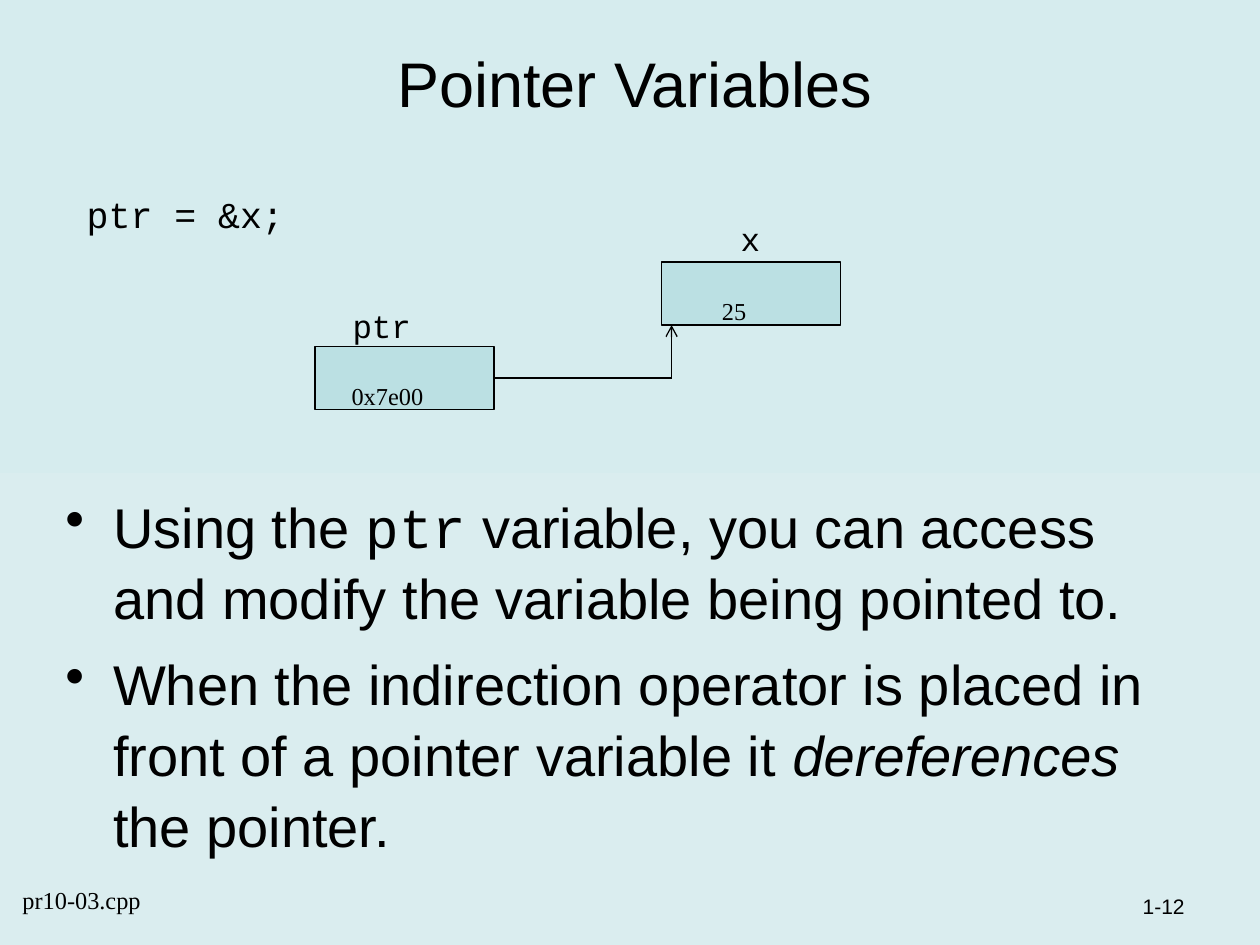
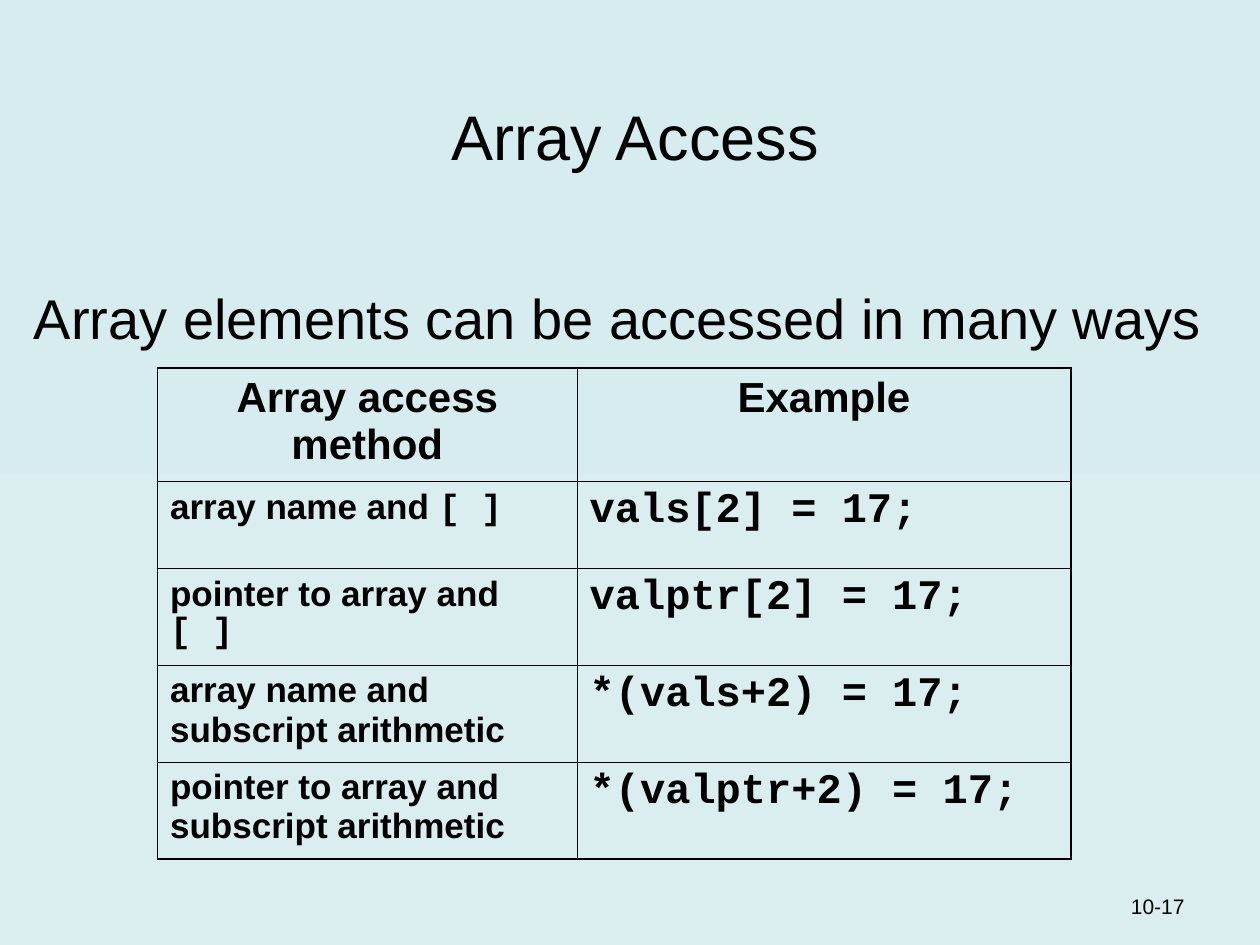
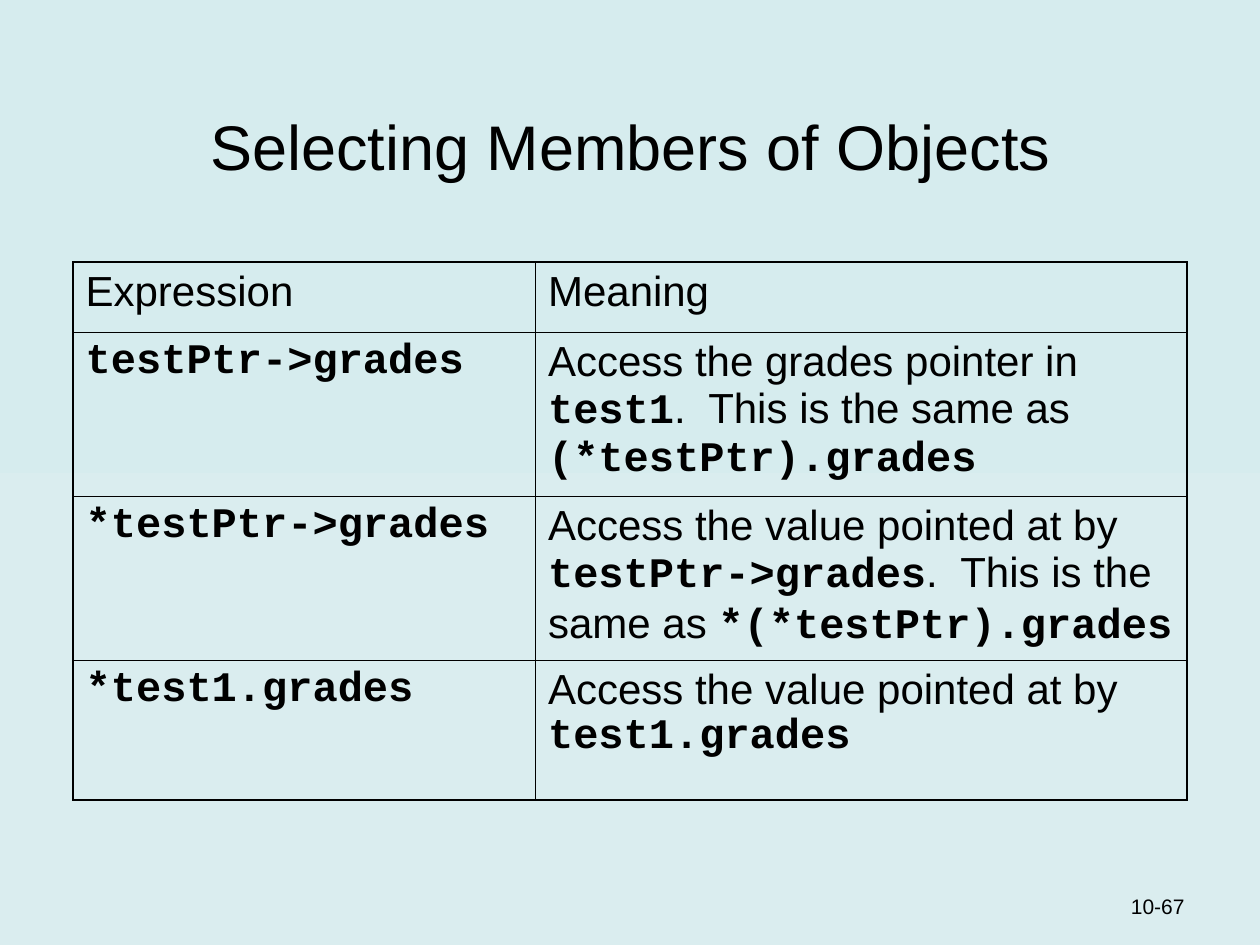
"""Build three slides on pointers, array access and object members."""
from dataclasses import dataclass, field

from lxml import etree
from pptx import Presentation
from pptx.dml.color import RGBColor
from pptx.enum.shapes import MSO_CONNECTOR, MSO_SHAPE
from pptx.enum.text import MSO_ANCHOR, PP_ALIGN
from pptx.oxml.ns import qn
from pptx.util import Inches, Pt

LEFT, CENTER, RIGHT = PP_ALIGN.LEFT, PP_ALIGN.CENTER, PP_ALIGN.RIGHT
TOP, BOTTOM = MSO_ANCHOR.TOP, MSO_ANCHOR.BOTTOM
RECTANGLE = MSO_SHAPE.RECTANGLE
STRAIGHT = MSO_CONNECTOR.STRAIGHT
SANS, MONO, SERIF = "Arial", "Courier New", "Times New Roman"


def text_format(name, size, **extra):
    """Return the font values for one text style."""
    return {"name": name, "size": Pt(size), "bold": False, "italic": False, **extra}


@dataclass
class Theme:
    """Colours, line widths and text styles of the deck."""
    ink: RGBColor = RGBColor(0, 0, 0)
    memory: RGBColor = RGBColor(0xBB, 0xE0, 0xE3)
    background: tuple = (RGBColor(0xDA, 0xED, 0xEF), RGBColor(0xD6, 0xEC, 0xEE))
    thin: float = 0.45
    outer: float = 1.08
    outline: float = 0.75
    subscript: str = "-25000"
    body_spacing: float = 1.06
    text: dict = field(default_factory=lambda: {
        "title": text_format(SANS, 36),
        "page": text_format(SANS, 12),
        "body": text_format(SANS, 32),
        "body code": text_format(MONO, 32),
        "term": text_format(SANS, 32, italic=True),
        "statement": text_format(MONO, 36),
        "variable": text_format(MONO, 32),
        "value": text_format(SERIF, 24),
        "heading": text_format(SANS, 24, bold=True),
        "method": text_format(SANS, 20, bold=True),
        "brackets": text_format(MONO, 20, bold=True),
        "code": text_format(MONO, 24, bold=True),
        "cell": text_format(SANS, 24),
    })


class SlideBuilder:
    """Hold the theme and current slide, and draw each kind of element."""

    def __init__(self, deck, theme):
        """Keep the deck and its theme."""
        self.deck, self.theme, self.slide = deck, theme, None

    def start(self, title, area, page):
        """Add a slide with its background, title and page number."""
        self.slide = self.deck.slides.add_slide(self.deck.slide_layouts[6])
        fill = self.slide.background.fill
        fill.gradient()
        fill.gradient_angle = 90
        for stop, color in zip(fill.gradient_stops, self.theme.background):
            stop.color.rgb = color
        self.text(area, [[(title, "title")]], align=CENTER, anchor=BOTTOM)
        self.text((7.42, 6.84, 2.08, 0.5), [[(page, "page")]], align=RIGHT, anchor=BOTTOM)

    def add_spans(self, para, spans, align=LEFT, subscript=False):
        """Add styled spans to a paragraph."""
        para.alignment = align
        for words, style in spans:
            span = para.add_run()
            span.text = words
            for key, value in self.theme.text[style].items():
                setattr(span.font, key, value)
            span.font.color.rgb = self.theme.ink
            if subscript:
                span.font._element.set("baseline", self.theme.subscript)

    def text(self, area, paras, align=LEFT, anchor=TOP, right=0.1, wrap=True, subscript=False):
        """Add a text box and return its paragraphs."""
        frame = self.slide.shapes.add_textbox(*map(Inches, area)).text_frame
        values = {"word_wrap": wrap, "vertical_anchor": anchor, "margin_right": Inches(right)}
        for key, value in values.items():
            setattr(frame, key, value)
        for index, spans in enumerate(paras):
            para = frame.add_paragraph() if index else frame.paragraphs[0]
            self.add_spans(para, spans, align, subscript)
        return frame.paragraphs

    def body(self, area, paras, bullet=False):
        """Add body text, with hanging bullets if wanted."""
        for index, para in enumerate(self.text(area, paras, right=0)):
            para.line_spacing = self.theme.body_spacing
            para.space_before = Pt(8 if index else 0)
            if bullet:
                properties = para._p.get_or_add_pPr()
                properties.set("marL", str(Inches(0.38)))
                properties.set("indent", str(-Inches(0.38)))
                etree.SubElement(properties, qn("a:buChar"), char="•")

    def label(self, area, words, style):
        """Add a one-line lowered label."""
        self.text(area, [[(words, style)]], wrap=False, subscript=True)

    def memory_box(self, left, top, value, indent):
        """Add a box that shows the value held by a variable."""
        box = self.slide.shapes.add_shape(RECTANGLE, *map(Inches, (left, top, 1.42, 0.5)))
        box.shadow.inherit = False
        box.fill.solid()
        box.fill.fore_color.rgb = self.theme.memory
        box.line.color.rgb = self.theme.ink
        box.line.width = Pt(self.theme.outline)
        frame = box.text_frame
        frame.vertical_anchor = TOP
        frame.margin_left = Inches(indent)
        self.add_spans(frame.paragraphs[0], [(value, "value")], subscript=True)

    def line(self, start, end, arrow=False):
        """Add a straight line, with an arrowhead if wanted."""
        connector = self.slide.shapes.add_connector(STRAIGHT, *map(Inches, start + end))
        connector.line.color.rgb = self.theme.ink
        connector.line.width = Pt(self.theme.outline)
        if arrow:
            etree.SubElement(connector.line._get_or_add_ln(), qn("a:tailEnd"), type="arrow")
        etree.SubElement(connector._element.spPr, qn("a:effectLst"))

    def border(self, cell, side, width):
        """Draw one border of a table cell."""
        edge = etree.SubElement(cell._tc.get_or_add_tcPr(), qn(f"a:{side}"), w=str(Pt(width)))
        fill = etree.SubElement(edge, qn("a:solidFill"))
        etree.SubElement(fill, qn("a:srgbClr"), val=str(self.theme.ink))

    def table(self, left, top, widths, heights, rows, heading_align=LEFT):
        """Add a clear table with heavier outer borders."""
        area = (left, top, sum(widths), sum(heights))
        table = self.slide.shapes.add_table(len(rows), len(widths), *map(Inches, area)).table
        table.first_row = table.horz_banding = False
        for column, width in zip(table.columns, widths):
            column.width = Inches(width)
        for row, height in zip(table.rows, heights):
            row.height = Inches(height)
        for r, row in enumerate(rows):
            for c, spans in enumerate(row):
                cell = table.cell(r, c)
                outer = {"lnL": c == 0, "lnR": c == len(widths) - 1,
                         "lnT": r == 0, "lnB": r == len(rows) - 1}
                for side, is_outer in outer.items():
                    self.border(cell, side, self.theme.outer if is_outer else self.theme.thin)
                cell.fill.background()
                align = LEFT if r else heading_align
                self.add_spans(cell.text_frame.paragraphs[0], spans, align)


def pointer_variables(builder):
    """Show a pointer and the variable it points to."""
    builder.start("Pointer Variables", (0.33, 0.33, 9.42, 0.67), "1-12")
    builder.body((0.42, 3.83, 9.07, 3), [
        [("Using the ", "body"), ("ptr", "body code"),
         (" variable, you can access and modify the variable being pointed to.", "body")],
        [("When the indirection operator is placed in front of a pointer variable it ", "body"),
         ("dereferences", "term"), (" the pointer.", "body")],
    ], bullet=True)
    builder.memory_box(2.5, 2.75, "0x7e00", 0.29)
    builder.memory_box(5.25, 2.08, "25", 0.48)
    builder.label((2.7, 2.08, 0.66, 0.71), "ptr", "variable")
    builder.label((5.78, 1.39, 0.35, 0.71), "x", "variable")
    builder.line((3.92, 3), (5.33, 3))
    builder.line((5.33, 3), (5.33, 2.58), arrow=True)
    builder.label((0.59, 1.14, 1.94, 0.79), "ptr = &x;", "statement")
    builder.label((0.08, 6.75, 1.14, 0.56), "pr10-03.cpp", "value")


def array_access(builder):
    """List the ways to access array elements."""
    builder.start("Array Access", (0.33, 0.33, 9.42, 1.09), "10-17")
    builder.body((0.17, 2.17, 9.5, 0.7),
                 [[("Array elements can be accessed in many ways", "body")]])
    brackets = ("[ ]", "brackets")
    methods = [
        ([("array name and ", "method"), brackets], "vals[2] = 17;"),
        ([("pointer to array and ", "method"), brackets], "valptr[2] = 17;"),
        ([("array name and subscript arithmetic", "method")], "*(vals+2) = 17;"),
        ([("pointer to array and subscript arithmetic", "method")], "*(valptr+2) = 17;"),
    ]
    rows = [[[("Array access method", "heading")], [("Example", "heading")]]]
    rows += [[method, [(example, "code")]] for method, example in methods]
    builder.table(1.25, 2.92, (3.33, 3.92), (0.9, 0.69, 0.61, 0.77, 0.77), rows, CENTER)


def object_members(builder):
    """Explain expressions that select members of objects."""
    builder.start("Selecting Members of Objects", (0.42, 0.25, 9.17, 1.25), "10-67")
    same = (".  This is the same as ", "cell")
    value = ("Access the value pointed at by ", "cell")
    meanings = [
        ("testPtr->grades", [("Access the grades pointer in ", "cell"), ("test1", "code"),
                             same, ("(*testPtr).grades", "code")]),
        ("*testPtr->grades", [value, ("testPtr->grades", "code"),
                              same, ("*(*testPtr).grades", "code")]),
        ("*test1.grades", [value, ("test1.grades", "code")]),
    ]
    rows = [[[("Expression", "cell")], [("Meaning", "cell")]]]
    rows += [[[(expression, "code")], meaning] for expression, meaning in meanings]
    builder.table(0.58, 2.08, (3.67, 5.17), (0.56, 1.3, 1.3, 1.11), rows)


def main():
    """Build and save the deck."""
    deck = Presentation()
    deck.slide_width, deck.slide_height = Inches(10), Inches(7.5)
    builder = SlideBuilder(deck, Theme())
    pointer_variables(builder)
    array_access(builder)
    object_members(builder)
    deck.save("out.pptx")


if __name__ == "__main__":
    main()
